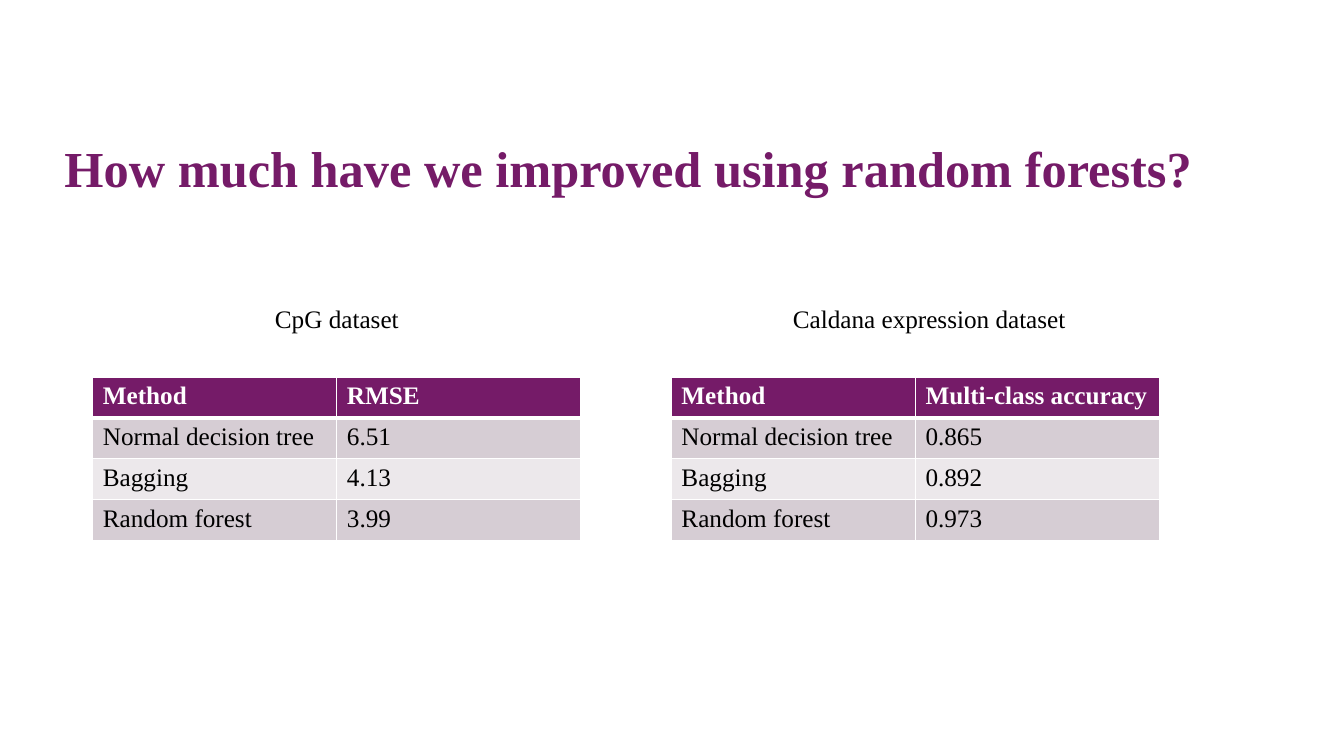
from lxml import etree
from pptx import Presentation
from pptx.dml.color import RGBColor
from pptx.enum.text import MSO_ANCHOR, PP_ALIGN
from pptx.oxml.ns import qn
from pptx.util import Cm, Pt

LEFT, CENTER = PP_ALIGN.LEFT, PP_ALIGN.CENTER
BOTTOM = MSO_ANCHOR.BOTTOM
FONT = "Times New Roman"
COLORS = {"plum": "751B68", "dark": "D6CDD4", "light": "ECE8EB",
          "white": "FFFFFF", "black": "000000"}

TITLE = "How much have we improved using random forests?"
METHODS = ["Normal decision tree", "Bagging", "Random forest"]
# caption, left of table, middle of caption, measure, values
RESULTS = [
    ("CpG dataset", 2.34, 8.49, "RMSE", ["6.51", "4.13", "3.99"]),
    ("Caldana expression dataset", 16.92, 23.42, "Multi-class accuracy",
     ["0.865", "0.892", "0.973"]),
]
COL_W, ROW_H, TABLE_TOP = 6.15, 1.03, 9.5
CAP_W, CAP_H, CAP_TOP = 8, 1.03, 7.52


def write(frame, text, size=18, color="black", bold=False, align=LEFT):
    frame.text = text
    para = frame.paragraphs[0]
    para.alignment = align
    font = para.runs[0].font
    font.name, font.size, font.bold = FONT, Pt(size), bold
    font.color.rgb = RGBColor.from_string(COLORS[color])


def border(cell, widths):
    """Draw white cell edges; widths maps L, R, T, B to points."""
    props = cell._tc.get_or_add_tcPr()
    for place, (side, width) in enumerate(widths.items()):
        line = etree.Element(qn("a:ln" + side), w=str(Pt(width)))
        fill = etree.SubElement(line, qn("a:solidFill"))
        etree.SubElement(fill, qn("a:srgbClr"), val=COLORS["white"])
        props.insert(place, line)


def add_results(slide, left, rows):
    count = len(rows[0])
    table = slide.shapes.add_table(
        len(rows), count, Cm(left), Cm(TABLE_TOP),
        Cm(count * COL_W), Cm(len(rows) * ROW_H)).table
    for col in table.columns:
        col.width = Cm(COL_W)
    for r, row in enumerate(rows):
        table.rows[r].height = Cm(ROW_H)
        head = r == 0
        shade = "plum" if head else "dark" if r % 2 else "light"
        for c, text in enumerate(row):
            cell = table.cell(r, c)
            write(cell.text_frame, text, bold=head,
                  color="white" if head else "black")
            cell.fill.solid()
            cell.fill.fore_color.rgb = RGBColor.from_string(COLORS[shade])
            border(cell, {"L": 1, "R": 1, "T": 3 if r == 1 else 1,
                          "B": 3 if head else 1})


def main():
    deck = Presentation()
    deck.slide_width, deck.slide_height = Cm(33.87), Cm(19.05)
    slide = deck.slides.add_slide(deck.slide_layouts[5])

    title = slide.shapes.title
    title.left, title.top = Cm(1.37), Cm(2.51)
    title.width, title.height = Cm(30.99), Cm(2.59)
    title.text_frame.vertical_anchor = BOTTOM
    write(title.text_frame, TITLE, size=36, color="plum", bold=True)

    for caption, left, middle, measure, values in RESULTS:
        add_results(slide, left,
                    [("Method", measure), *zip(METHODS, values)])
        box = slide.shapes.add_textbox(Cm(middle - CAP_W / 2), Cm(CAP_TOP),
                                       Cm(CAP_W), Cm(CAP_H))
        box.text_frame.word_wrap = True
        write(box.text_frame, caption, align=CENTER)

    deck.save("out.pptx")


if __name__ == "__main__":
    main()
